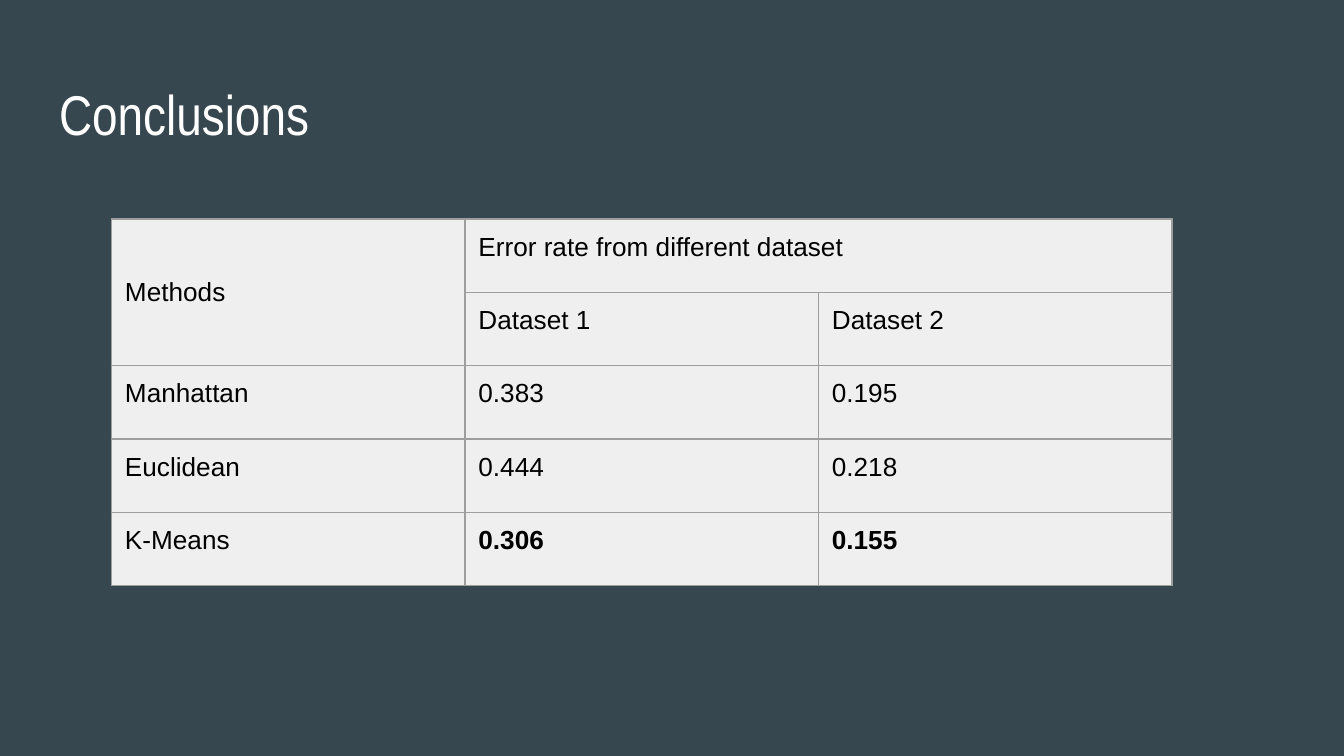
from dataclasses import dataclass

from lxml import etree
from pptx import Presentation
from pptx import util as u
from pptx.dml.color import RGBColor
from pptx.enum import text
from pptx.oxml import ns

SLATE, PALE, GREY, WHITE, BLACK = "37474F", "EFEFEF", "9E9E9E", "FFFFFF", "000000"
INSETS = {f"margin_{side}": u.Inches(0.1) for side in ("left", "top", "right", "bottom")}
SLIDE_WIDTH = u.Inches(10)
COLUMN_WIDTH, TABLE_HEIGHT = u.Inches(2.63), u.Inches(2.73)


@dataclass
class TextStyle:
    name: str
    size: int
    color: str
    bold: bool = False


def rgb(value: str) -> RGBColor:
    return RGBColor.from_string(value)


def set_values(target, values: dict) -> None:
    for name, value in values.items():
        setattr(target, name, value)


def write(frame, words: str, style: TextStyle) -> None:
    para = frame.paragraphs[0]
    para.alignment = text.PP_ALIGN.LEFT
    span = para.add_run()
    span.text = words
    set_values(span.font, {"name": style.name, "size": u.Pt(style.size), "bold": style.bold})
    span.font.color.rgb = rgb(style.color)


def add_borders(cell, color: str, points: float) -> None:
    """Borders must come before the fill in the cell properties."""
    properties = cell._tc.get_or_add_tcPr()
    for index, side in enumerate(("lnL", "lnR", "lnT", "lnB")):
        line = etree.Element(ns.qn(f"a:{side}"), w=str(u.Pt(points)))
        fill = etree.SubElement(line, ns.qn("a:solidFill"))
        etree.SubElement(fill, ns.qn("a:srgbClr"), val=color)
        properties.insert(index, line)


def add_results(page, rows: list[tuple[str, ...]]) -> None:
    count, columns = len(rows), len(rows[0])
    box = page.shapes.add_table(
        count, columns, u.Inches(0.83), u.Inches(1.63),
        COLUMN_WIDTH * columns, TABLE_HEIGHT)
    table = box.table
    set_values(table, {"first_row": False, "horz_banding": False})

    for row_index, row in enumerate(rows):
        for column_index, words in enumerate(row):
            cell = table.cell(row_index, column_index)
            set_values(cell, INSETS)
            cell.fill.solid()
            cell.fill.fore_color.rgb = rgb(PALE)
            add_borders(cell, GREY, 0.75)
            if words:
                best = row_index == count - 1 and column_index > 0
                write(cell.text_frame, words, TextStyle("Arial", 14, BLACK, best))

    # Header cells that span rows or columns
    table.cell(0, 0).merge(table.cell(1, 0))
    table.cell(0, 1).merge(table.cell(0, 2))
    table.cell(0, 0).vertical_anchor = text.MSO_ANCHOR.MIDDLE


def main() -> None:
    # Widescreen page
    deck = Presentation()
    set_values(deck, {"slide_width": SLIDE_WIDTH, "slide_height": SLIDE_WIDTH * 9 // 16})
    page = deck.slides.add_slide(deck.slide_layouts[5])
    page.background.fill.solid()
    page.background.fill.fore_color.rgb = rgb(SLATE)

    # Title
    title = page.shapes.title
    set_values(title, {"left": u.Inches(0.34), "top": u.Inches(0.49),
                       "width": u.Inches(9.32), "height": u.Inches(0.63)})
    set_values(title.text_frame, INSETS | {
        "vertical_anchor": text.MSO_ANCHOR.TOP, "word_wrap": True,
        "auto_size": text.MSO_AUTO_SIZE.NONE})
    write(title.text_frame, "Conclusions", TextStyle("Arial Narrow", 30, WHITE))

    # Error rates by method
    add_results(page, [
        ("Methods", "Error rate from different dataset", ""),
        ("", "Dataset 1", "Dataset 2"),
        ("Manhattan", "0.383", "0.195"),
        ("Euclidean", "0.444", "0.218"),
        ("K-Means", "0.306", "0.155"),
    ])
    deck.save("out.pptx")


if __name__ == "__main__":
    main()
